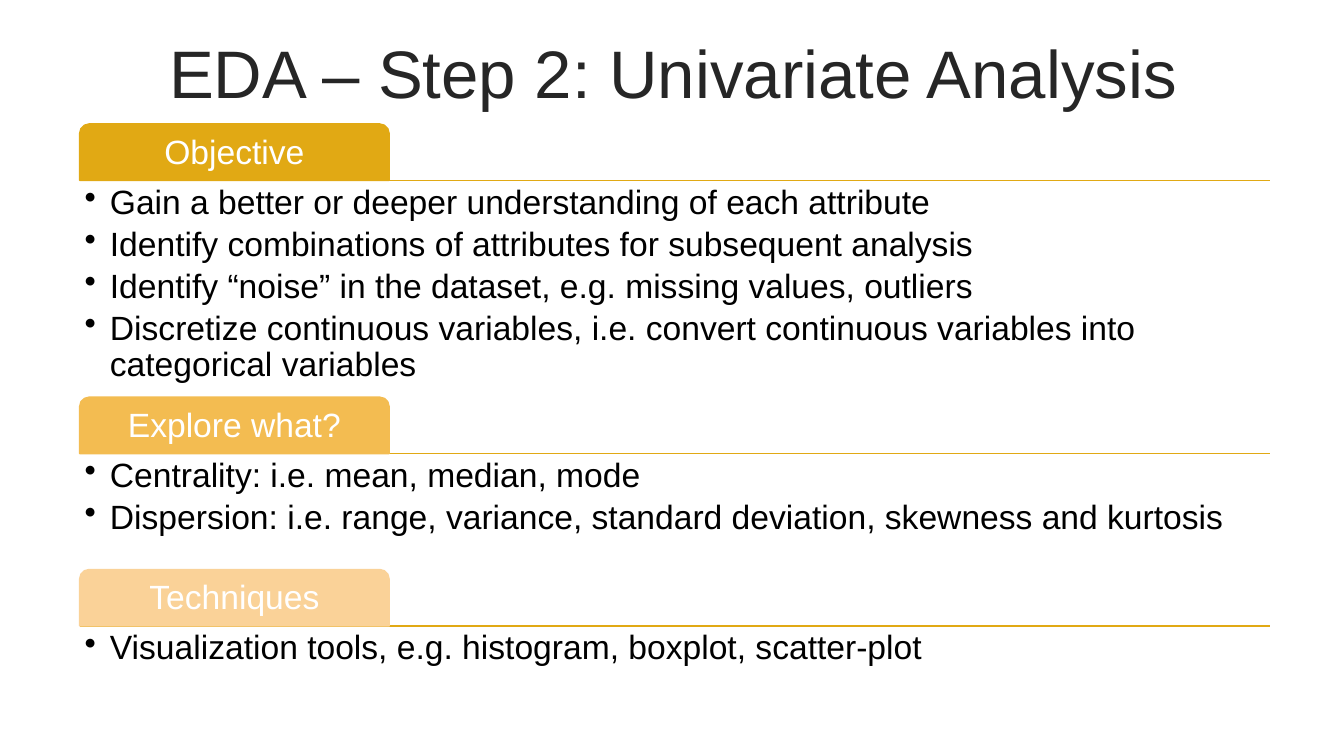
from dataclasses import dataclass

from lxml import etree
from pptx import Presentation
from pptx.dml.color import RGBColor
from pptx.enum import shapes, text
from pptx.oxml.ns import qn
from pptx.util import Inches, Pt

# Content: heading, tab colour, height of the bullet area, bullets
TITLE = "EDA – Step 2: Univariate Analysis"
SECTIONS = [
    ("Objective", "E1A914", 2.12, [
        "Gain a better or deeper understanding of each attribute",
        "Identify combinations of attributes for subsequent analysis",
        "Identify “noise” in the dataset, e.g. missing values, outliers",
        "Discretize continuous variables, i.e. convert continuous variables "
        "into categorical variables",
    ]),
    ("Explore what?", "F3BC51", 1.12, [
        "Centrality: i.e. mean, median, mode",
        "Dispersion: i.e. range, variance, standard deviation, skewness and kurtosis",
    ]),
    ("Techniques", "FAD298", 1.12, [
        "Visualization tools, e.g. histogram, boxplot, scatter-plot",
    ]),
]


@dataclass(frozen=True)
class Theme:
    font: str = "Arial"
    title_size: int = 48
    body_size: int = 24
    title: str = "262626"
    body: str = "000000"
    tab_text: str = "FFFFFF"
    rule: str = "E1A914"


THEME = Theme()

# Layout in inches
LEFT, WIDTH = 0.79, 11.81
TOP = 1.23
TAB_WIDTH, TAB_HEIGHT = 3.07, 0.56
SECTION_GAP = 0.03
INSET = 0.05


def write(frame, lines, size=THEME.body_size, color=THEME.body, align=text.PP_ALIGN.LEFT,
          anchor=text.MSO_ANCHOR.TOP, inset=INSET, bullets=False, after=0):
    frame.word_wrap = True
    frame.auto_size = text.MSO_AUTO_SIZE.NONE
    frame.vertical_anchor = anchor
    frame.margin_left = frame.margin_right = Inches(inset)
    frame.margin_top = frame.margin_bottom = Inches(INSET)
    for index, line in enumerate(lines):
        paragraph = frame.paragraphs[0] if index == 0 else frame.add_paragraph()
        paragraph.text = line
        paragraph.alignment = align
        paragraph.line_spacing = 0.9
        paragraph.space_before = Pt(0)
        paragraph.space_after = Pt(after)
        if bullets:
            paragraph.level = 1
            properties = paragraph._p.get_or_add_pPr()
            properties.set("marL", str(Inches(0.25)))
            properties.set("indent", str(-Inches(0.25)))
            etree.SubElement(properties, qn("a:buChar")).set("char", "•")
        paragraph.font.name = THEME.font
        paragraph.font.size = Pt(size)
        paragraph.font.color.rgb = RGBColor.from_string(color)


def add_rule(slide, y):
    rule = slide.shapes.add_connector(
        shapes.MSO_CONNECTOR.STRAIGHT,
        Inches(LEFT), Inches(y), Inches(LEFT + WIDTH), Inches(y))
    rule.line.color.rgb = RGBColor.from_string(THEME.rule)
    rule.line.width = Pt(1)
    etree.SubElement(rule._element.spPr, qn("a:effectLst"))


def add_tab(slide, y, heading, color):
    tab = slide.shapes.add_shape(
        shapes.MSO_SHAPE.ROUND_2_SAME_RECTANGLE,
        Inches(LEFT), Inches(y), Inches(TAB_WIDTH), Inches(TAB_HEIGHT))
    tab.shadow.inherit = False
    tab.fill.solid()
    tab.fill.fore_color.rgb = RGBColor.from_string(color)
    tab.line.color.rgb = RGBColor.from_string(color)
    tab.line.width = Pt(1)
    write(tab.text_frame, [heading], color=THEME.tab_text,
          align=text.PP_ALIGN.CENTER, anchor=text.MSO_ANCHOR.MIDDLE)


def main():
    presentation = Presentation()
    presentation.slide_width, presentation.slide_height = Inches(13.33), Inches(7.5)
    slide = presentation.slides.add_slide(presentation.slide_layouts.get_by_name("Title Only"))

    # Title
    title = slide.shapes.title
    title.left, title.top = Inches(0.35), Inches(0.37)
    title.width, title.height = Inches(12.66), Inches(0.79)
    write(title.text_frame, [TITLE], size=THEME.title_size, color=THEME.title,
          align=text.PP_ALIGN.CENTER, anchor=text.MSO_ANCHOR.MIDDLE, inset=0.1)

    # Stacked sections: tab, rule and bullets
    top = TOP
    for heading, color, height, bullets in SECTIONS:
        rule_y = top + TAB_HEIGHT
        add_rule(slide, rule_y)
        add_tab(slide, top, heading, color)
        box = slide.shapes.add_textbox(
            Inches(LEFT), Inches(rule_y), Inches(WIDTH), Inches(height))
        write(box.text_frame, bullets, bullets=True, after=4)
        top = rule_y + height + SECTION_GAP

    presentation.save("out.pptx")


if __name__ == "__main__":
    main()
